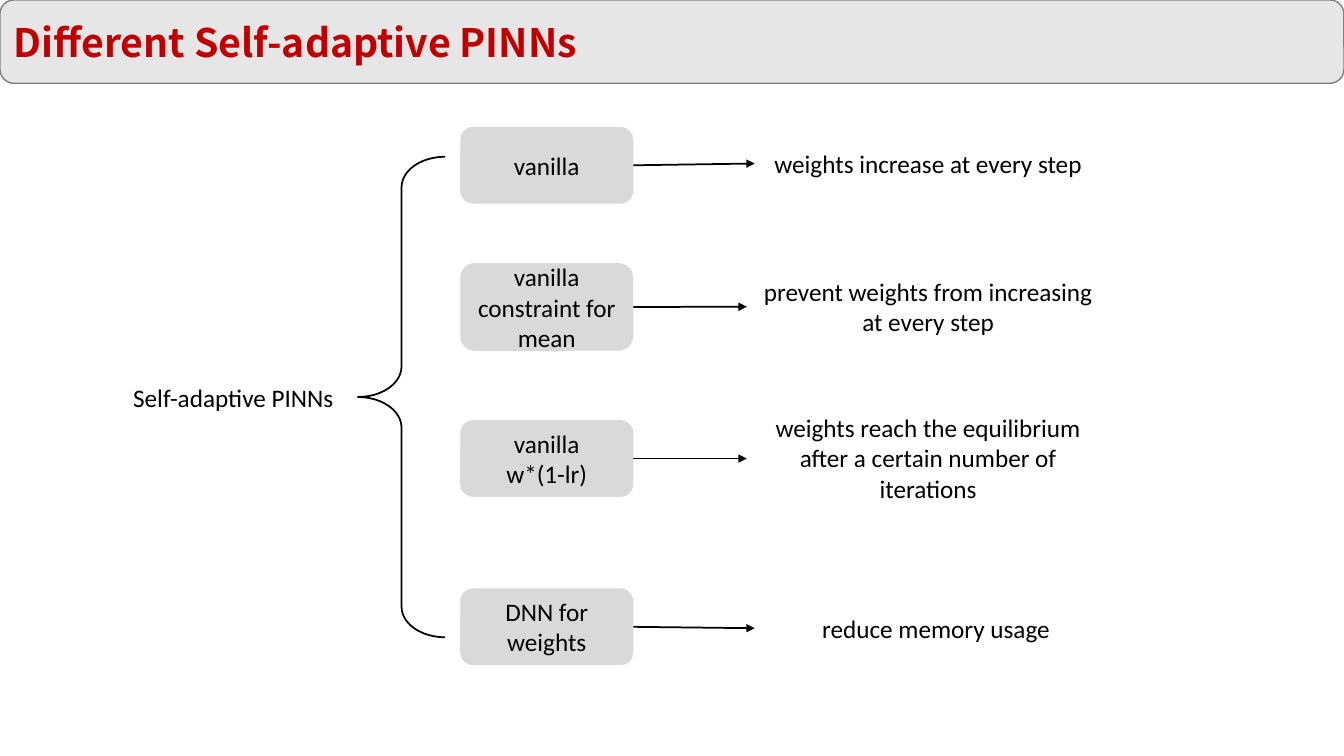
from dataclasses import dataclass

from lxml import etree
from pptx import Presentation
from pptx.dml.color import RGBColor
from pptx.enum import shapes, text
from pptx.oxml import ns
from pptx.util import Cm, Pt


@dataclass(frozen=True)
class Theme:
    ink: str = "000000"
    red: str = "C00000"
    bar: str = "E7E6E6"
    edge: str = "808080"
    box: str = "D9D9D9"
    head: int = 28
    body: int = 18
    face: str = "Calibri"
    bold: str = "Noto Sans CJK SC"


def write(frame, words, size, color, face, bold=False,
          align=text.PP_ALIGN.CENTER, anchor=text.MSO_ANCHOR.MIDDLE):
    frame.word_wrap = True
    frame.vertical_anchor = anchor
    frame.text = words
    for para in frame.paragraphs:
        para.alignment = align
        font = para.font
        font.name, font.size, font.bold = face, Pt(size), bold
        font.color.rgb = RGBColor.from_string(color)


class Deck:
    def __init__(self, theme):
        self.theme = theme
        self.show = Presentation()
        self.show.slide_width, self.show.slide_height = Cm(33.87), Cm(19.05)
        self.slide = self.show.slides.add_slide(self.show.slide_layouts[6])

    def shape(self, kind, area, fill=None, line=None, width=1):
        item = self.slide.shapes.add_shape(kind, *map(Cm, area))
        item.shadow.inherit = False
        if fill:
            item.fill.solid()
            item.fill.fore_color.rgb = RGBColor.from_string(fill)
        else:
            item.fill.background()
        if line:
            item.line.color.rgb = RGBColor.from_string(line)
            item.line.width = Pt(width)
        else:
            item.line.fill.background()
        return item

    def title(self, words, area):
        look = self.theme
        bar = self.shape(shapes.MSO_SHAPE.ROUNDED_RECTANGLE, area, look.bar, look.edge)
        write(bar.text_frame, words, look.head, look.red, look.bold,
              bold=True, align=text.PP_ALIGN.LEFT)

    def brace(self, area, curl, tip):
        item = self.shape(shapes.MSO_SHAPE.LEFT_BRACE, area, line=self.theme.ink, width=1.25)
        item.adjustments[0], item.adjustments[1] = curl, tip

    def box(self, words, area):
        look = self.theme
        item = self.shape(shapes.MSO_SHAPE.ROUNDED_RECTANGLE, area, look.box)
        write(item.text_frame, words, look.body, look.ink, look.face)
        return item

    def note(self, words, area):
        look = self.theme
        item = self.slide.shapes.add_textbox(*map(Cm, area))
        write(item.text_frame, words, look.body, look.ink, look.face,
              anchor=text.MSO_ANCHOR.TOP)
        item.text_frame.auto_size = text.MSO_AUTO_SIZE.SHAPE_TO_FIT_TEXT
        return item

    def arrow(self, start, goal, gap=0):
        tip = goal.left + Cm(gap), goal.top + goal.height // 2
        item = self.slide.shapes.add_connector(
            shapes.MSO_CONNECTOR.STRAIGHT, start.left, start.top, *tip)
        item.begin_connect(start, 3)
        if not gap:
            item.end_connect(goal, 1)
        item.line.color.rgb = RGBColor.from_string(self.theme.ink)
        item.line.width = Pt(1.25)
        etree.SubElement(item.line._get_or_add_ln(), ns.qn("a:tailEnd"), type="triangle")
        etree.SubElement(item._element.spPr, ns.qn("a:effectLst"))


ROWS = [
    ("vanilla", 3.2, 1.93,
     "weights increase at every step", 18.82, 3.61, 1.02, 0.2),
    ("vanilla\nconstraint for mean", 6.63, 2.21,
     "prevent weights from increasing at every step", 18.82, 6.83, 1.8, 0),
    ("vanilla\nw*(1-lr)", 10.59, 1.93,
     "weights reach the equilibrium\nafter a certain number of iterations", 18.82, 10.27, 2.57, 0),
    ("DNN for weights", 14.83, 1.93,
     "reduce memory usage", 19.02, 15.32, 1.02, 0),
]


def main():
    deck = Deck(Theme())
    deck.title("Different Self-adaptive PINNs", (0, 0, 33.87, 2.1))
    deck.brace((9.02, 3.95, 2.2, 12.11), 0.35, 0.5)
    deck.note("Self-adaptive PINNs", (2.26, 9.5, 7.24, 1.02))
    for name, top, high, words, left, level, tall, gap in ROWS:
        box = deck.box(name, (11.6, top, 4.36, high))
        note = deck.note(words, (left, level, 9.14, tall))
        deck.arrow(box, note, gap)
    deck.show.save("out.pptx")


if __name__ == "__main__":
    main()
